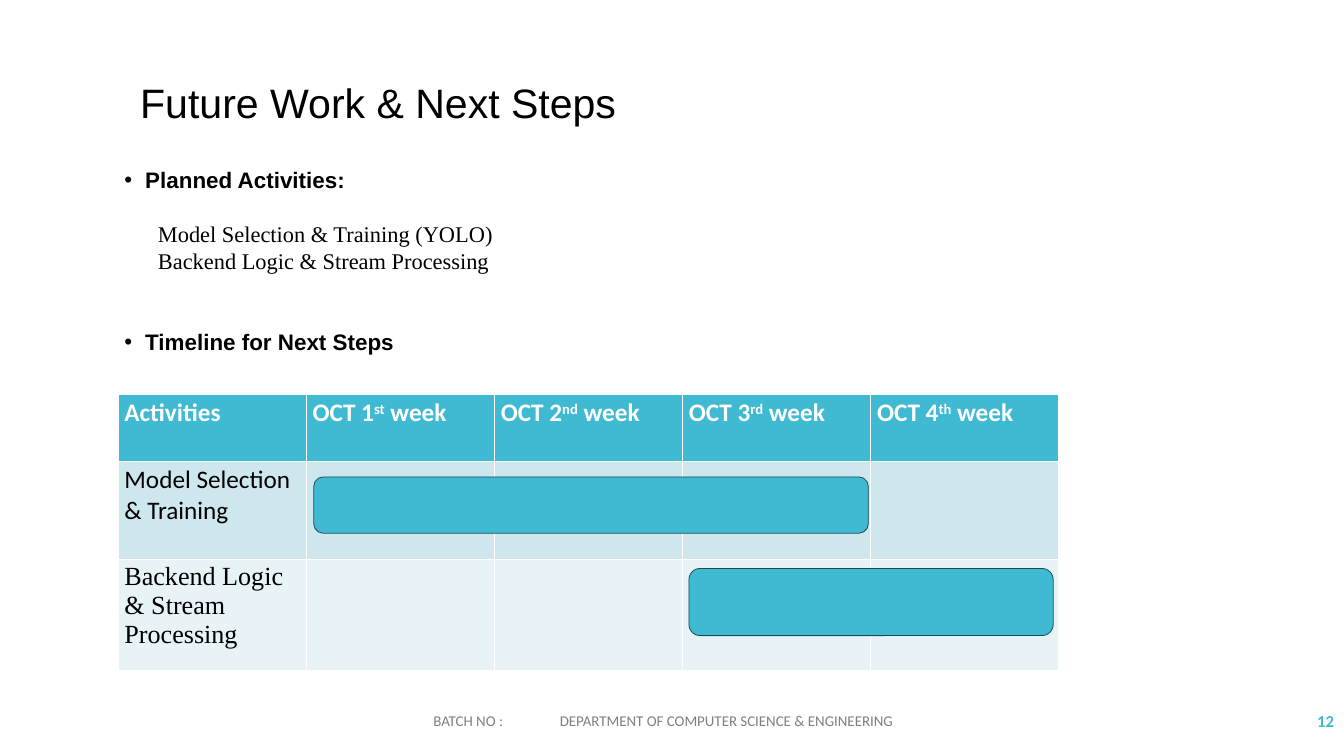
from typing import NamedTuple

from lxml.etree import SubElement
from pptx import Presentation
from pptx.dml.color import RGBColor
from pptx.enum.shapes import MSO_SHAPE as Shp
from pptx.enum.text import MSO_ANCHOR as Anchor, PP_ALIGN as Align
from pptx.oxml.ns import qn
from pptx.util import Cm, Pt

TEAL = RGBColor(0x40, 0xBA, 0xD2)
DARK_TEAL = RGBColor(0x15, 0x4D, 0x58)
PALE = RGBColor(0xCE, 0xE7, 0xEE)
PALER = RGBColor(0xE8, 0xF3, 0xF7)
WHITE = RGBColor(0xFF, 0xFF, 0xFF)
BLACK = RGBColor(0, 0, 0)
GREY = RGBColor(0x7F, 0x7F, 0x7F)
SERIF = "Times New Roman"


class Style(NamedTuple):
    size: float
    font: str
    color: RGBColor = BLACK
    bold: bool = False


class Box(NamedTuple):
    left: float
    top: float
    width: float
    height: float

    def cm(self):
        return [Cm(v) for v in self]


class Line(NamedTuple):
    text: str
    style: Style
    before: float = 0
    bullet: bool = False


class Activity(NamedTuple):
    name: str
    style: Style
    fill: RGBColor
    height: float
    bar: Box


HEADING = Style(24, "Arial", bold=True)
ITEM = Style(24, SERIF)
HEAD_CELL = Style(27, "Calibri", WHITE, True)

LINES = [
    Line("Planned Activities:", HEADING, bullet=True),
    Line("Model Selection & Training (YOLO)", ITEM, 29),
    Line("Backend Logic & Stream Processing", ITEM),
    Line("Timeline for Next Steps", HEADING, 58, True),
]
ORDINALS = ["st", "nd", "rd", "th"]
ACTIVITIES = [
    Activity("Model Selection & Training", Style(27, "Calibri"), PALE, 3.68,
             Box(11.86, 18.03, 20.96, 2.13)),
    Activity("Backend Logic & Stream Processing", Style(28, SERIF), PALER, 4.19,
             Box(26.04, 21.49, 13.77, 2.54)),
]
TABLE = Box(4.45, 14.91, 35.56, 10.41)
HEAD_HEIGHT = 2.54


def add_run(p, text: str, style: Style):
    r = p.add_run()
    r.text = text
    f = r.font
    f.size, f.name, f.bold = Pt(style.size), style.font, style.bold
    f.color.rgb = style.color
    return r


def add_text(s, box: Box, anchor=Anchor.TOP):
    tf = s.shapes.add_textbox(*box.cm()).text_frame
    tf.word_wrap = True
    tf.vertical_anchor = anchor
    return tf


def set_indent(p, left: float, first: float, bullet: bool) -> None:
    pPr = p._p.get_or_add_pPr()
    pPr.set("marL", str(Cm(left)))
    pPr.set("indent", str(Cm(first)))
    if bullet:
        SubElement(pPr, qn("a:buFont"), typeface="Arial")
        SubElement(pPr, qn("a:buChar"), char="•")
    else:
        SubElement(pPr, qn("a:buNone"))


def style_cell(cell, fill: RGBColor, top: float, bottom: float) -> None:
    tcPr = cell._tc.get_or_add_tcPr()
    for side, width in (("L", 0.45), ("R", 0.45), ("T", top), ("B", bottom)):
        ln = SubElement(tcPr, qn(f"a:ln{side}"), w=str(Pt(width)))
        solid = SubElement(ln, qn("a:solidFill"))
        SubElement(solid, qn("a:srgbClr"), val=str(WHITE))
    cell.fill.solid()
    cell.fill.fore_color.rgb = fill


def add_bar(s, box: Box) -> None:
    sp = s.shapes.add_shape(Shp.ROUNDED_RECTANGLE, *box.cm())
    sp.shadow.inherit = False
    sp.fill.solid()
    sp.fill.fore_color.rgb = TEAL
    sp.line.color.rgb = DARK_TEAL
    sp.line.width = Pt(0.85)


def add_timeline(s) -> None:
    columns = len(ORDINALS) + 1
    table = s.shapes.add_table(len(ACTIVITIES) + 1, columns, *TABLE.cm()).table
    for column in table.columns:
        column.width = Cm(TABLE.width / columns)

    # Header row
    table.rows[0].height = Cm(HEAD_HEIGHT)
    for i in range(columns):
        cell = table.cell(0, i)
        style_cell(cell, TEAL, 0.45, 1.47)
        p = cell.text_frame.paragraphs[0]
        if i == 0:
            add_run(p, "Activities", HEAD_CELL)
            continue
        add_run(p, f"OCT {i}", HEAD_CELL)
        r = add_run(p, ORDINALS[i - 1], HEAD_CELL)
        r._r.get_or_add_rPr().set("baseline", "30000")
        add_run(p, " week", HEAD_CELL)

    # Activity rows
    for row, activity in enumerate(ACTIVITIES, 1):
        table.rows[row].height = Cm(activity.height)
        for i in range(columns):
            style_cell(table.cell(row, i), activity.fill, 1.47 if row == 1 else 0.45, 0.45)
        p = table.cell(row, 0).text_frame.paragraphs[0]
        add_run(p, activity.name, activity.style)

    # Bars over the weeks
    for activity in ACTIVITIES:
        add_bar(s, activity.bar)


def main() -> None:
    prs = Presentation()
    prs.slide_width, prs.slide_height = Cm(50.8), Cm(28.58)
    s = prs.slides.add_slide(prs.slide_layouts[6])

    # Title
    tf = add_text(s, Box(5.3, 3.45, 37.2, 1.33))
    tf.margin_left = tf.margin_top = tf.margin_right = tf.margin_bottom = 0
    p = tf.paragraphs[0]
    p.line_spacing = Pt(37.7)
    add_run(p, "Future Work & Next Steps", Style(44, "Arial"))

    # Planned activities
    tf = add_text(s, Box(4.45, 6.17, 44.88, 8.38))
    for i, line in enumerate(LINES):
        p = tf.add_paragraph() if i else tf.paragraphs[0]
        set_indent(p, 0.79 if line.bullet else 1.27, -0.79 if line.bullet else 0, line.bullet)
        if line.before:
            p.space_before = Pt(line.before)
        add_run(p, line.text, line.style)

    add_timeline(s)

    # Footer, with a tab stop before the department
    p = add_text(s, Box(16.13, 26.49, 24.64, 1.52), Anchor.MIDDLE).paragraphs[0]
    tabs = SubElement(p._p.get_or_add_pPr(), qn("a:tabLst"))
    SubElement(tabs, qn("a:tab"), pos=str(Cm(4.78)), algn="l")
    add_run(p, "BATCH NO :\tDEPARTMENT OF COMPUTER SCIENCE & ENGINEERING",
            Style(16, "Calibri", GREY))

    # Slide number
    p = add_text(s, Box(44.3, 26.49, 6.38, 1.52), Anchor.MIDDLE).paragraphs[0]
    p.alignment = Align.RIGHT
    add_run(p, "12", Style(18, "Calibri", TEAL, True))

    prs.save("out.pptx")


if __name__ == "__main__":
    main()
